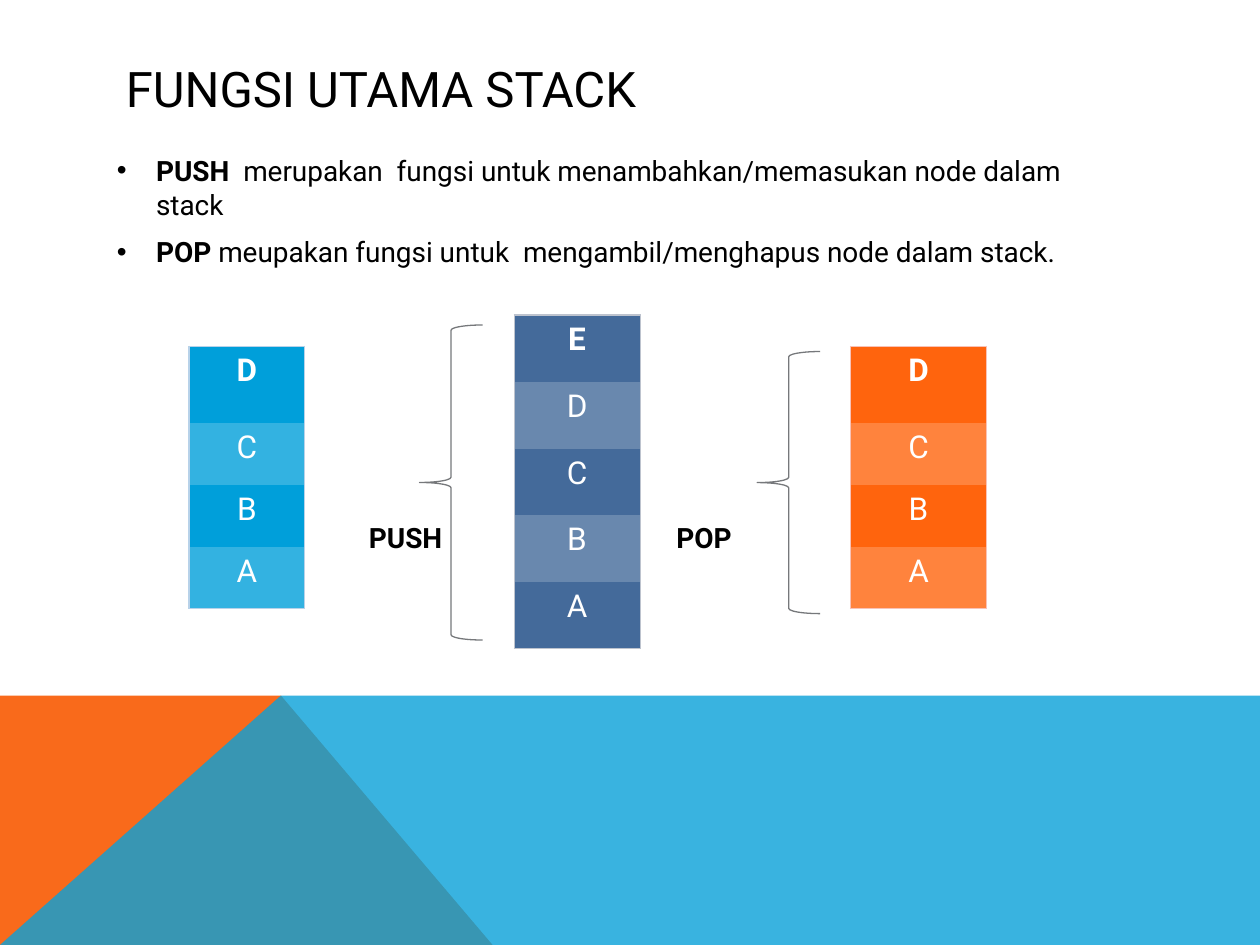
"""Build the slide on the main functions of a stack."""
from dataclasses import dataclass

from lxml.etree import SubElement
from pptx import Presentation
from pptx.dml.color import RGBColor
from pptx.enum.shapes import MSO_SHAPE
from pptx.enum.text import MSO_ANCHOR, PP_ALIGN
from pptx.oxml import parse_xml
from pptx.oxml.ns import nsdecls, qn
from pptx.util import Inches, Pt

FONT = "Roboto"


@dataclass
class Stack:
    letters: str
    left: float
    top: float
    width: float
    heights: list[float]
    shades: tuple[str, str]
    border: str


@dataclass
class Brace:
    left: float
    top: float
    height: float


@dataclass
class Label:
    text: str
    left: float


@dataclass
class Band:
    points: list[tuple[float, float]]
    color: str
    opacity: int


BANDS = [
    Band([(0, 7.5), (0, 5.52), (2.23, 5.52), (3.91, 7.5)], "F96A1B", 100),
    Band([(0, 7.5), (2.23, 5.52), (10, 5.52), (10, 7.5)], "08A1D9", 80),
]
FOUR_ROWS = [0.61, 0.49, 0.49, 0.49]
STACKS = [
    Stack("DCBA", 1.5, 2.75, 0.92, FOUR_ROWS, ("009FDA", "33B2E1"), "B8D2E9"),
    Stack("EDCBA", 4.08, 2.5, 1, [0.53] * 5, ("446A9A", "6988AE"), "BDC3CE"),
    Stack("DCBA", 6.75, 2.75, 1.08, FOUR_ROWS, ("FF640D", "FF833D"), "F8C2B7"),
]
BRACES = [Brace(3.33, 2.58, 2.5), Brace(6.01, 2.79, 2.08)]
LABELS = [Label("PUSH", 2.93), Label("POP", 5.37)]
BULLETS = [
    ("PUSH  ", "merupakan  fungsi untuk menambahkan/memasukan node dalam stack"),
    ("POP ", "meupakan fungsi untuk  mengambil/menghapus node dalam stack."),
]


def rgb(value: str) -> RGBColor:
    return RGBColor.from_string(value)


def add_run(p, text: str, size: float, color: str = "000000", bold: bool = False) -> None:
    r = p.add_run()
    r.text = text
    r.font.name = FONT
    r.font.size = Pt(size)
    r.font.bold = bold
    r.font.color.rgb = rgb(color)


def add_text_frame(s, left: float, top: float, width: float, height: float):
    box = s.shapes.add_textbox(Inches(left), Inches(top), Inches(width), Inches(height))
    tf = box.text_frame
    tf.word_wrap = True
    return tf


def draw_band(s, band: Band) -> None:
    points = [(Inches(x), Inches(y)) for x, y in band.points]
    builder = s.shapes.build_freeform(*points[0])
    builder.add_line_segments(points[1:], close=True)
    sp = builder.convert_to_shape()
    sp.shadow.inherit = False
    sp.fill.solid()
    sp.fill.fore_color.rgb = rgb(band.color)
    sp.line.fill.background()
    if band.opacity < 100:
        color = sp.fill._xPr.find(qn("a:solidFill"))[0]
        SubElement(color, qn("a:alpha")).set("val", str(band.opacity * 1000))


def draw_bullets(s) -> None:
    tf = add_text_frame(s, 0.83, 1.17, 8.22, 1.1)
    for i, (term, meaning) in enumerate(BULLETS):
        p = tf.paragraphs[0] if i == 0 else tf.add_paragraph()
        pPr = p._p.get_or_add_pPr()
        pPr.set("marL", str(Inches(0.31)))
        pPr.set("indent", str(-Inches(0.31)))
        SubElement(pPr, qn("a:buFont")).set("typeface", "Arial")
        SubElement(pPr, qn("a:buChar")).set("char", "•")
        if i:
            p.space_before = Pt(8)
        add_run(p, term, 16, bold=True)
        add_run(p, meaning, 16)


def set_borders(cell, color: str, is_top: bool, is_bottom: bool) -> None:
    tcPr = cell._tc.get_or_add_tcPr()
    shown = {"lnL": True, "lnR": True, "lnT": is_top, "lnB": is_bottom}
    for i, (side, visible) in enumerate(shown.items()):
        fill = f'<a:solidFill><a:srgbClr val="{color}"/></a:solidFill>' if visible else "<a:noFill/>"
        line = f'<a:{side} {nsdecls("a")} w="{Pt(0.75)}">{fill}</a:{side}>'
        tcPr.insert(i, parse_xml(line))


def draw_stack(s, stack: Stack) -> None:
    count = len(stack.letters)
    table = s.shapes.add_table(
        count, 1, Inches(stack.left), Inches(stack.top),
        Inches(stack.width), Inches(sum(stack.heights)),
    ).table
    table.first_row = table.horz_banding = False
    for i, (letter, height) in enumerate(zip(stack.letters, stack.heights)):
        table.rows[i].height = Inches(height)
        cell = table.cell(i, 0)
        cell.fill.solid()
        cell.fill.fore_color.rgb = rgb(stack.shades[i % 2])
        set_borders(cell, stack.border, i == 0, i == count - 1)
        p = cell.text_frame.paragraphs[0]
        p.alignment = PP_ALIGN.CENTER
        add_run(p, letter, 18, "FFFFFF", bold=i == 0)


def draw_brace(s, brace: Brace) -> None:
    sp = s.shapes.add_shape(
        MSO_SHAPE.LEFT_BRACE, Inches(brace.left), Inches(brace.top),
        Inches(0.5), Inches(brace.height),
    )
    sp.shadow.inherit = False
    sp.fill.background()
    sp.line.color.rgb = rgb("76787B")
    sp.line.width = Pt(0.75)


def draw_label(s, label: Label) -> None:
    tf = add_text_frame(s, label.left - 0.1, 4.08, 0.9, 0.36)
    add_run(tf.paragraphs[0], label.text, 16, bold=True)


def main() -> None:
    prs = Presentation()
    prs.slide_width, prs.slide_height = Inches(10), Inches(7.5)
    s = prs.slides.add_slide(prs.slide_layouts[6])
    for band in BANDS:
        draw_band(s, band)
    tf = add_text_frame(s, 0.9, 0.4, 8.22, 0.6)
    tf.vertical_anchor = MSO_ANCHOR.MIDDLE
    add_run(tf.paragraphs[0], "FUNGSI UTAMA STACK", 28)
    draw_bullets(s)
    for label in LABELS:
        draw_label(s, label)
    for stack in STACKS:
        draw_stack(s, stack)
    for brace in BRACES:
        draw_brace(s, brace)
    prs.save("out.pptx")


if __name__ == "__main__":
    main()
